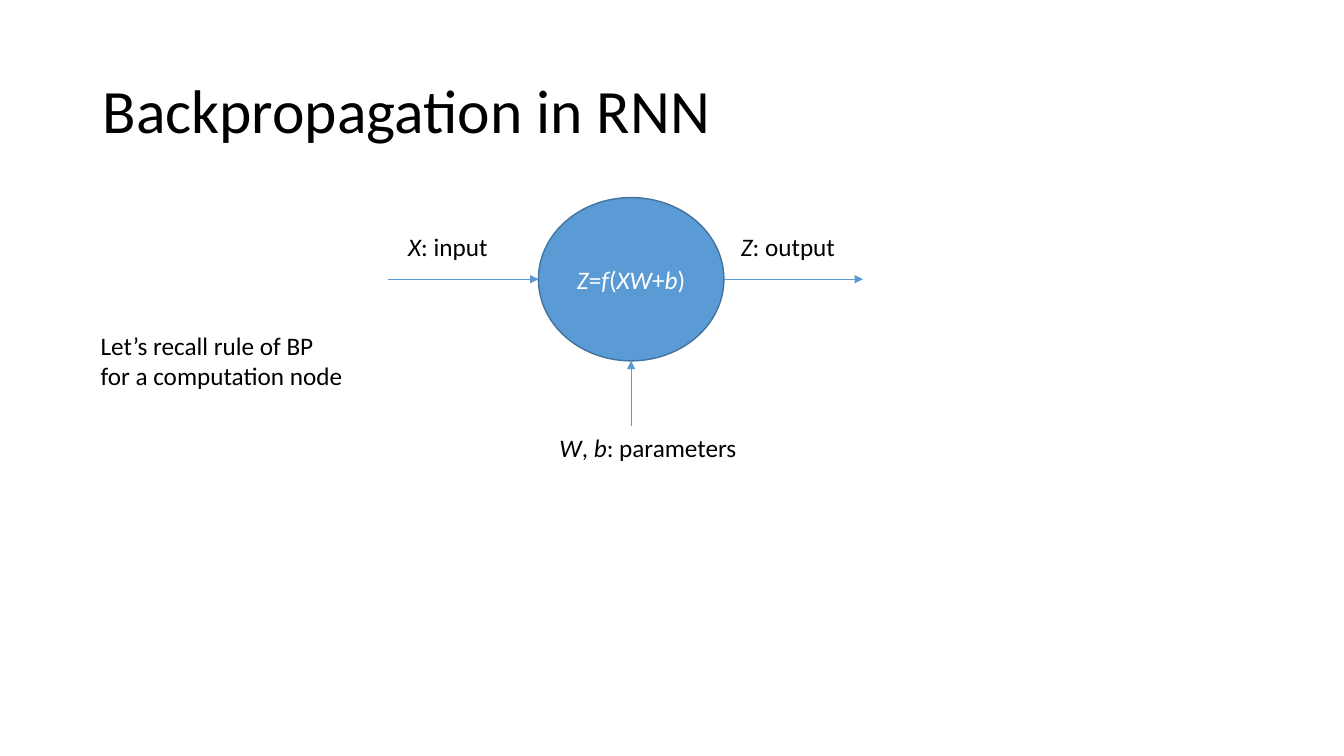
from pptx import Presentation
from pptx.dml.color import RGBColor
from pptx.enum.shapes import MSO_CONNECTOR, MSO_SHAPE
from pptx.enum.text import MSO_ANCHOR, MSO_AUTO_SIZE, PP_ALIGN
from pptx.oxml.ns import qn
from pptx.util import Inches, Pt
from lxml import etree

BLACK = RGBColor(0x00, 0x00, 0x00)
WHITE = RGBColor(0xFF, 0xFF, 0xFF)
BLUE = RGBColor(0x5B, 0x9B, 0xD5)
DARK_BLUE = RGBColor(0x43, 0x73, 0x9E)
FONT = "Calibri"

# Content: paragraphs are lists of (text, italic) spans
TITLE = [[("Backpropagation in RNN", False)]]
FORMULA = [[("Z", True), ("=", False), ("f", True), ("(", False),
            ("XW", True), ("+", False), ("b", True), (")", False)]]
LABELS = [  # left, top, width, height, paragraphs
    (3.95, 2.25, 1.0, 0.4, [[("X", True), (": input", False)]]),
    (7.25, 2.25, 1.15, 0.4, [[("Z", True), (": output", False)]]),
    (5.45, 4.24, 1.98, 0.4, [[("W", True), (", ", False), ("b", True),
                              (": parameters", False)]]),
    (0.9, 3.23, 2.63, 0.71, [[("Let’s recall rule of BP", False)],
                             [("for a computation node", False)]]),
]

# Node geometry; the arrows meet the node at its sides
NODE_LEFT, NODE_TOP, NODE_WIDTH, NODE_HEIGHT = 5.34, 1.96, 1.84, 1.62
NODE_RIGHT, NODE_BOTTOM = NODE_LEFT + NODE_WIDTH, NODE_TOP + NODE_HEIGHT
CENTER_X, CENTER_Y = NODE_LEFT + NODE_WIDTH / 2, NODE_TOP + NODE_HEIGHT / 2
ARROWS = [
    (3.85, CENTER_Y, NODE_LEFT, CENTER_Y),
    (NODE_RIGHT, CENTER_Y, 8.56, CENTER_Y),
    (CENTER_X, 4.23, CENTER_X, NODE_BOTTOM),
]


def write(frame, paragraphs, size=18, color=BLACK):
    for index, spans in enumerate(paragraphs):
        para = frame.add_paragraph() if index else frame.paragraphs[0]
        for text, italic in spans:
            span = para.add_run()
            span.text = text
            span.font.name = FONT
            span.font.size = Pt(size)
            span.font.italic = italic
            span.font.color.rgb = color


def add_arrow(page, *ends):
    arrow = page.shapes.add_connector(MSO_CONNECTOR.STRAIGHT, *map(Inches, ends))
    arrow.line.color.rgb = BLUE
    arrow.line.width = Pt(0.5)
    etree.SubElement(arrow.line._get_or_add_ln(), qn("a:tailEnd"), type="triangle")
    etree.SubElement(arrow._element.spPr, qn("a:effectLst"))


def main():
    deck = Presentation()
    deck.slide_width, deck.slide_height = Inches(13.33), Inches(7.5)
    page = deck.slides.add_slide(deck.slide_layouts[6])

    # Title
    box = page.shapes.add_textbox(*map(Inches, (0.92, 0.4, 11.5, 1.45)))
    box.text_frame.word_wrap = True
    box.text_frame.vertical_anchor = MSO_ANCHOR.MIDDLE
    write(box.text_frame, TITLE, size=44)
    box.text_frame.paragraphs[0].line_spacing = 0.9

    # Computation node
    node = page.shapes.add_shape(MSO_SHAPE.OVAL, *map(
        Inches, (NODE_LEFT, NODE_TOP, NODE_WIDTH, NODE_HEIGHT)))
    node.shadow.inherit = False
    node.fill.solid()
    node.fill.fore_color.rgb = BLUE
    node.line.color.rgb = DARK_BLUE
    node.line.width = Pt(1)
    node.text_frame.vertical_anchor = MSO_ANCHOR.MIDDLE
    write(node.text_frame, FORMULA, color=WHITE)
    node.text_frame.paragraphs[0].alignment = PP_ALIGN.CENTER

    # Arrows
    for ends in ARROWS:
        add_arrow(page, *ends)

    # Labels
    for left, top, width, height, paragraphs in LABELS:
        box = page.shapes.add_textbox(*map(Inches, (left, top, width, height)))
        box.text_frame.word_wrap = False
        box.text_frame.auto_size = MSO_AUTO_SIZE.SHAPE_TO_FIT_TEXT
        write(box.text_frame, paragraphs)

    deck.save("out.pptx")


if __name__ == "__main__":
    main()
